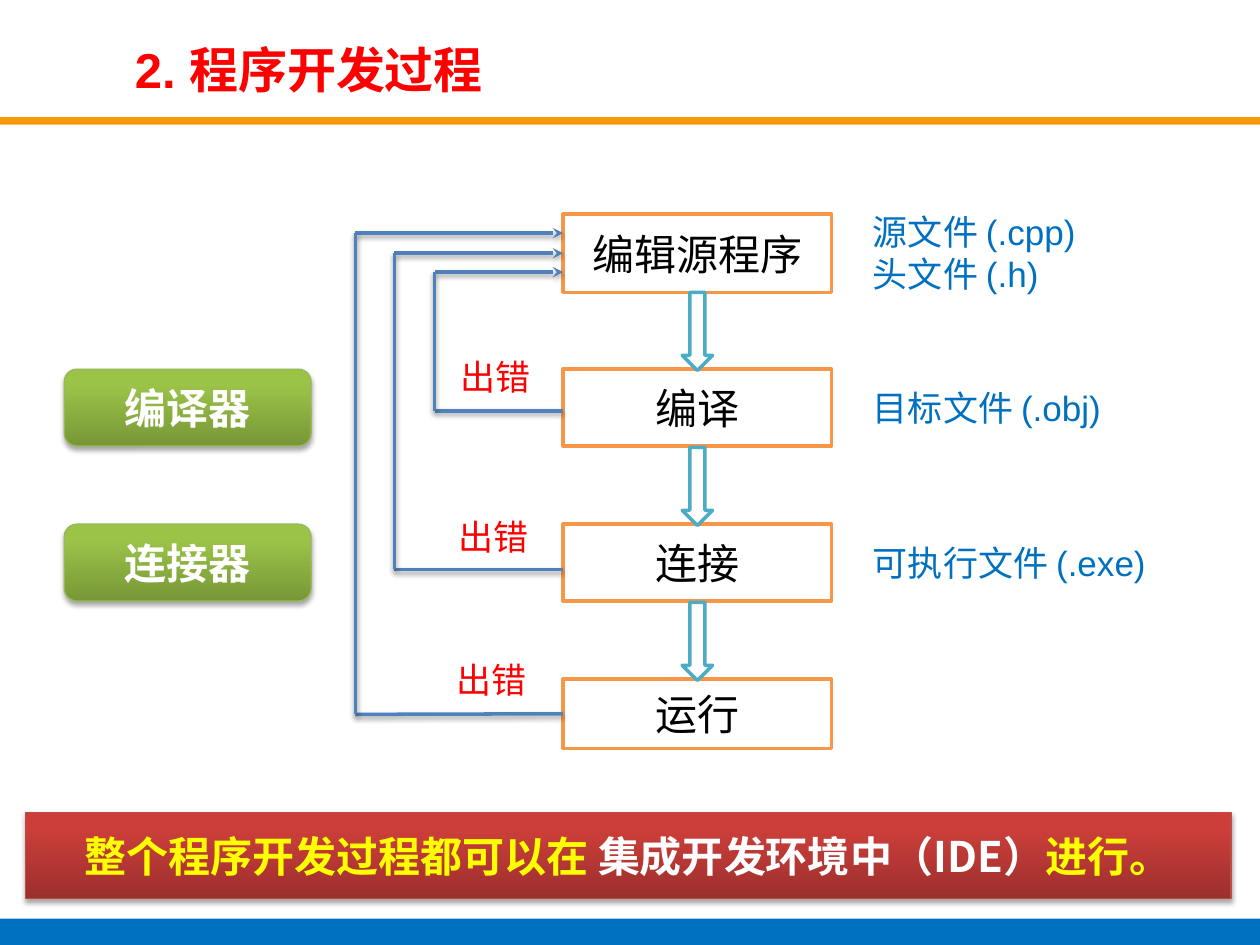
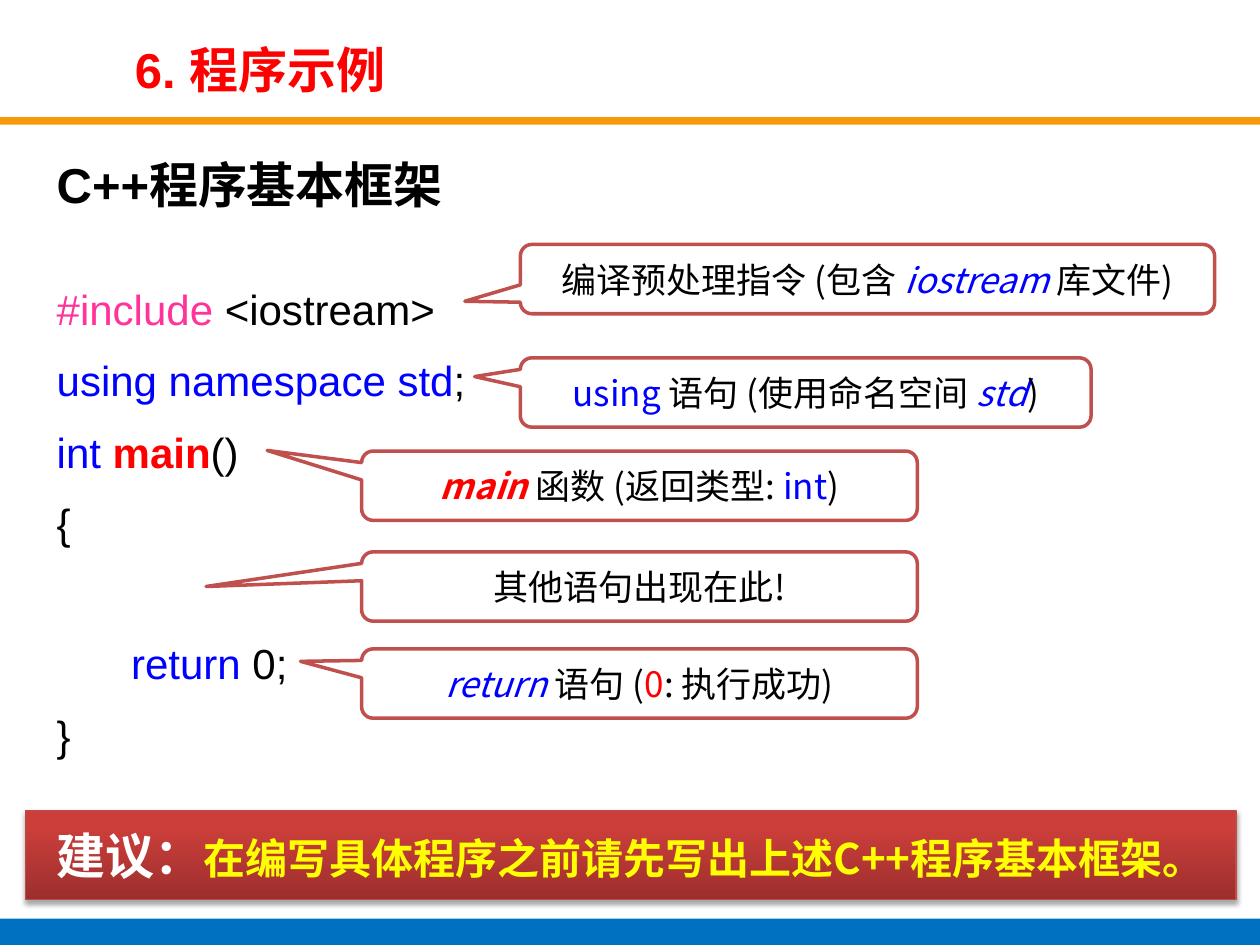
from lxml import etree
from pptx import Presentation
from pptx.dml.color import RGBColor
from pptx.enum import shapes, text
from pptx.oxml.ns import qn
from pptx.util import Inches, Pt

COLORS = {
    "white": "FFFFFF", "black": "000000", "red": "FF0000", "yellow": "FFFF00",
    "blue": "0000FF", "pink": "FF3399", "file": "0070C0", "rule": "F7990A",
    "step": "F79646", "arrow": "4BACC6", "loop": "4F81BD", "callout": "C0504D",
    "red dark": "9C2F2D", "red light": "CB3E3A", "red outline": "BF4C48",
    "green dark": "779737", "green light": "9BC348", "green outline": "98B955",
}
LATIN, CHINESE = "Arial", "Noto Sans CJK SC"
TITLE_ONLY, TITLE_AND_BODY = 5, 1
SHAPE = shapes.MSO_SHAPE


def rgb(name):
    return RGBColor.from_string(COLORS[name])


def add_xml(parent, tag, **attributes):
    return etree.SubElement(parent, qn(tag), attributes)


def add_shadow(effects, distance, opacity):
    shadow = add_xml(effects, "a:outerShdw", blurRad=str(Pt(3.1)), dist=str(Pt(distance)),
                     dir="5400000", rotWithShape="0")
    color = add_xml(shadow, "a:srgbClr", val=COLORS["black"])
    add_xml(color, "a:alpha", val=str(opacity * 1000))


class Deck:
    def __init__(self):
        self.presentation = Presentation()
        self.presentation.slide_width = Inches(10)
        self.presentation.slide_height = Inches(7.5)
        self.slide = None

    def start_slide(self, layout, title):
        is_first = self.slide is None
        self.slide = self.presentation.slides.add_slide(self.presentation.slide_layouts[layout])
        if is_first:
            self.add_master_bands()
        frame = self.place(self.slide.shapes.title, 0.97, 0.27, 6.86, 0.55)
        frame.vertical_anchor = text.MSO_ANCHOR.MIDDLE
        self.add_runs(frame.paragraphs[0], [(title, "red", "b")], 28, align=text.PP_ALIGN.LEFT)

    def add_master_bands(self):
        """Draw the two bands and move them to the master, so every slide shows them."""
        tree = self.presentation.slide_master.shapes.element
        for number, (top, height, color) in enumerate([(0.93, 0.06, "rule"), (7.29, 0.21, "file")]):
            band = self.shape(SHAPE.RECTANGLE, 0, top, 10, height, color)
            band.element.nvSpPr.cNvPr.set("id", str(100 + number))
            tree.append(band.element)

    def place(self, placeholder, left, top, width, height):
        """Position a placeholder and return its text frame."""
        placeholder.left, placeholder.top = Inches(left), Inches(top)
        placeholder.width, placeholder.height = Inches(width), Inches(height)
        frame = placeholder.text_frame
        frame.auto_size = text.MSO_AUTO_SIZE.NONE
        return frame

    def add_runs(self, paragraph, parts, size, font=LATIN, align=text.PP_ALIGN.CENTER):
        """Fill a paragraph with (text, colour, style) parts; style holds b and/or i."""
        paragraph.alignment = align
        for words, color, style in parts:
            run = paragraph.add_run()
            run.text = words
            run.font.size, run.font.name = Pt(size), font
            run.font.bold, run.font.italic = "b" in style, "i" in style
            run.font.color.rgb = rgb(color)
            east_asian = etree.Element(qn("a:ea"), typeface=CHINESE)
            run._r.get_or_add_rPr().find(qn("a:latin")).addnext(east_asian)

    def shape(self, kind, left, top, width, height, fill, line=None, line_width=2):
        shape = self.slide.shapes.add_shape(kind, Inches(left), Inches(top),
                                            Inches(width), Inches(height))
        shape.shadow.inherit = False
        shape.fill.solid()
        shape.fill.fore_color.rgb = rgb(fill)
        if line:
            shape.line.color.rgb = rgb(line)
            shape.line.width = Pt(line_width)
        else:
            shape.line.fill.background()
        shape.text_frame.vertical_anchor = text.MSO_ANCHOR.MIDDLE
        return shape

    def glossy(self, kind, left, top, width, height, hue, parts):
        """Add a shadowed gradient shape with bold (text, colour, size) parts."""
        dark, light = f"{hue} dark", f"{hue} light"
        shape = self.shape(kind, left, top, width, height, light, f"{hue} outline", 0.75)
        shape.fill.gradient()
        shape.fill.gradient_angle = 90
        for stop, color, position in zip(shape.fill.gradient_stops, (dark, light), (0, 0.8)):
            stop.color.rgb, stop.position = rgb(color), position
        add_shadow(shape.element.spPr.find(qn("a:effectLst")), 1.8, 35)
        for words, color, size in parts:
            self.add_runs(shape.text_frame.paragraphs[0], [(words, color, "b")], size, CHINESE)

    def step(self, left, top, width, height, words):
        box = self.shape(SHAPE.RECTANGLE, left, top, width, height, "white", "step")
        self.add_runs(box.text_frame.paragraphs[0], [(words, "black", "")], 24)
        return box

    def callout(self, left, top, width, tip, parts):
        callout = self.shape(SHAPE.ROUNDED_RECTANGULAR_CALLOUT, left, top, width, 0.55,
                             "white", "callout")
        callout.adjustments[0], callout.adjustments[1] = tip
        self.add_runs(callout.text_frame.paragraphs[0], parts, 20, CHINESE)

    def label(self, left, top, width, lines, color, align):
        box = self.slide.shapes.add_textbox(Inches(left), Inches(top), Inches(width),
                                            Inches(0.1 + len(lines) / 3))
        frame = box.text_frame
        frame.word_wrap = True
        for number, line in enumerate(lines):
            paragraph = frame.add_paragraph() if number else frame.paragraphs[0]
            paragraph.line_spacing = Pt(24)
            self.add_runs(paragraph, [(line, color, "")], 20, align=align)

    def line(self, start, end, box=None, arrow=False):
        """Draw a loop line, joined to the box if it starts at the middle of its left side."""
        points = [Inches(value) for value in (*start, *end)]
        connector = self.slide.shapes.add_connector(shapes.MSO_CONNECTOR.STRAIGHT, *points)
        if box is not None and abs(points[1] - box.top - box.height // 2) < Inches(0.01):
            connector.begin_connect(box, 1)
        connector.line.color.rgb = rgb("loop")
        connector.line.width = Pt(2)
        properties = connector.element.spPr
        if arrow:
            add_xml(properties.find(qn("a:ln")), "a:headEnd", type="stealth")
        add_shadow(add_xml(properties, "a:effectLst"), 1.6, 38)

    def code(self, heading, lines):
        """Fill the body with a heading and (parts, indent, space before) code lines."""
        frame = self.place(self.slide.placeholders[1], 0.35, 1.14, 9.29, 5.99)
        first = frame.paragraphs[0]
        first.line_spacing, first.space_before, first.space_after = Pt(36), Pt(0), Pt(28)
        self.add_runs(first, [(heading, "black", "b")], 28, align=text.PP_ALIGN.JUSTIFY)
        for parts, _, gap in lines:
            paragraph = frame.add_paragraph()
            paragraph.line_spacing, paragraph.space_before = 1.2, Pt(gap)
            self.add_runs(paragraph, parts, 24, align=text.PP_ALIGN.JUSTIFY)
        indents = [0] + [indent for _, indent, _ in lines]
        for paragraph, indent in zip(frame.paragraphs, indents):
            properties = paragraph._p.get_or_add_pPr()
            properties.set("marL", "0")
            properties.set("indent", str(Inches(indent)))
            add_xml(properties, "a:buNone")


def build_process_slide(deck):
    deck.start_slide(TITLE_ONLY, "2. 程序开发过程")
    left, width, first_top, pitch = 4.47, 2.13, 1.7, 1.23
    names_and_heights = [("编辑源程序", 0.62), ("编译", 0.61), ("连接", 0.61), ("运行", 0.55)]
    steps = [deck.step(left, first_top + pitch * row, width, height, name)
             for row, (name, height) in enumerate(names_and_heights)]
    for row in range(3):
        deck.shape(SHAPE.DOWN_ARROW, left + width / 2 - 0.12, 2.32 + pitch * row, 0.24, 0.62,
                   "white", "arrow")

    # loop column, arrow height, exit height, position of the error label
    loops = [(3.45, 2.16, 3.26, (3.46, 2.77)),
             (3.13, 2.01, 4.52, (3.45, 4.04)),
             (2.82, 1.85, 5.67, (3.43, 5.18))]
    for box, (column, enter, leave, error_at) in zip(steps[1:], loops):
        deck.line((left, enter), (column, enter), steps[0], arrow=True)
        deck.line((left, leave), (column, leave), box)
        deck.line((column, enter), (column, leave))
        deck.label(*error_at, 0.94, ["出错"], "red", text.PP_ALIGN.CENTER)

    for top, lines in [(1.62, ["源文件 (.cpp)", "头文件 (.h)"]),
                       (3.02, ["目标文件 (.obj)"]), (4.25, ["可执行文件 (.exe)"])]:
        deck.label(6.83, top, 2.97, lines, "file", text.PP_ALIGN.LEFT)

    for row, tool in [(1, "编译器"), (2, "连接器")]:
        deck.glossy(SHAPE.FLOWCHART_ALTERNATE_PROCESS, 0.51, first_top + pitch * row, 1.96, 0.61,
                    "green", [(tool, "white", 24)])
    deck.glossy(SHAPE.RECTANGLE, 0.2, 6.45, 9.57, 0.68, "red",
                [("整个程序开发过程都可以在 ", "yellow", 24),
                 ("集成开发环境中（IDE）", "white", 24), ("进行。", "yellow", 24)])


def build_example_slide(deck):
    deck.start_slide(TITLE_AND_BODY, "6. 程序示例")
    gap, statement_gap = 6.3, 45.7
    deck.code("C++程序基本框架", [
        ([("#include ", "pink", ""), ("<iostream>", "black", "")], 0, gap),
        ([("using namespace std", "blue", ""), (";", "black", "")], 0, gap),
        ([("int ", "blue", ""), ("main", "red", "b"), ("()", "black", "")], 0, gap),
        ([("{", "black", "")], 0, gap),
        ([("return", "blue", ""), (" 0;", "black", "")], 0.59, statement_gap),
        ([("}", "black", "")], 0, gap),
    ])
    callouts = [
        (4.13, 1.94, 5.51, (-0.58, 0.32),
         [("编译预处理指令 (包含 ", "black", ""), ("iostream ", "blue", "i"),
          ("库文件)", "black", "")]),
        (4.13, 2.84, 4.53, (-0.58, -0.23),
         [("using ", "blue", ""), ("语句 (使用命名空间 ", "black", ""),
          ("std", "blue", "i"), (")", "black", "")]),
        (2.87, 3.58, 4.41, (-0.67, -0.51),
         [("main ", "red", "bi"), ("函数 (返回类型: ", "black", ""),
          ("int", "blue", ""), (")", "black", "")]),
        (2.87, 4.38, 4.41, (-0.78, 0), [("其他语句出现在此!", "black", "")]),
        (2.87, 5.15, 4.41, (-0.61, -0.32),
         [("return ", "blue", "i"), ("语句 (", "black", ""), ("0", "red", ""),
          (": 执行成功)", "black", "")]),
    ]
    for callout in callouts:
        deck.callout(*callout)
    deck.glossy(SHAPE.RECTANGLE, 0.2, 6.43, 9.61, 0.71, "red",
                [("建议：", "white", 28),
                 ("在编写具体程序之前请先写出上述C++程序基本框架。", "yellow", 24)])


def main():
    deck = Deck()
    build_process_slide(deck)
    build_example_slide(deck)
    deck.presentation.save("out.pptx")


if __name__ == "__main__":
    main()
